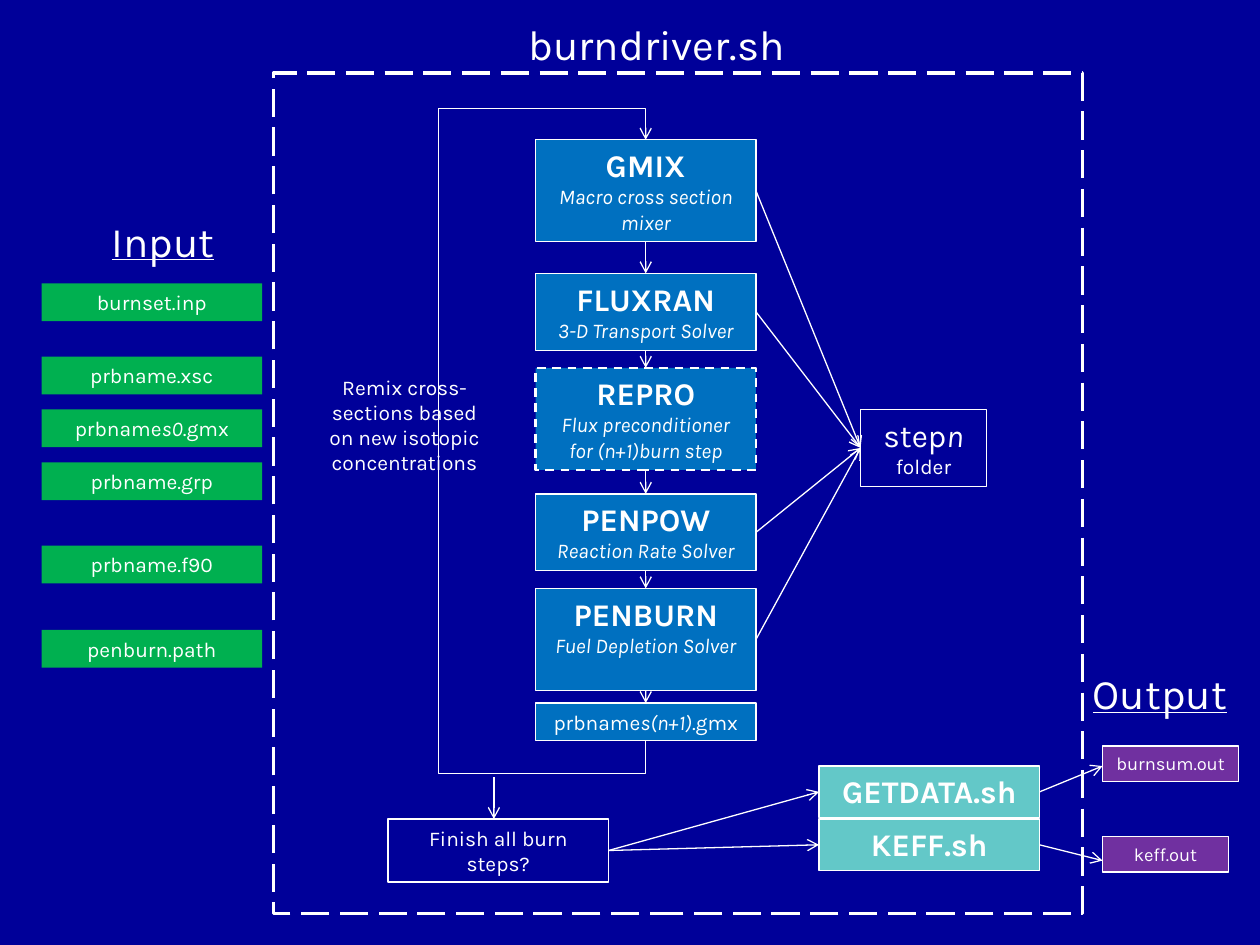
from lxml.etree import SubElement
from pptx import Presentation
from pptx.dml.color import RGBColor
from pptx.enum.dml import MSO_LINE
from pptx.enum.shapes import MSO_CONNECTOR, MSO_SHAPE
from pptx.enum.text import MSO_ANCHOR, PP_ALIGN
from pptx.oxml.ns import qn
from pptx.util import Inches, Pt

NAVY, BLUE, GREEN = "000099", "0070C0", "00B050"
TEAL, PURPLE, WHITE = "63C8C8", "7030A0", "FFFFFF"
TOP, LEFT, BOTTOM, RIGHT = range(4)
STEP_LEFT, STEP_WIDTH = 4.25, 1.75


def paint(fill, color):
    fill.solid()
    fill.fore_color.rgb = RGBColor.from_string(color)


def write(shape, text, size=12, bold=False, italic=False, underline=False, same_line=False):
    paragraphs = shape.text_frame.paragraphs
    paragraph = paragraphs[-1]
    if paragraph.runs and not same_line:
        paragraph = shape.text_frame.add_paragraph()
    paragraph.alignment = PP_ALIGN.CENTER
    run = paragraph.add_run()
    run.text = text
    font = run.font
    font.name, font.size = "Karla", Pt(size)
    font.bold, font.italic, font.underline = bold, italic, underline
    font.color.rgb = RGBColor.from_string(WHITE)


def write_filename(shape, start, index="", end=""):
    write(shape, start)
    if index:
        write(shape, index, italic=True, same_line=True)
        write(shape, end, same_line=True)


def outline(shape, width=0.75, dash=None):
    paint(shape.line.fill, WHITE)
    shape.line.width = Pt(width)
    if dash:
        shape.line.dash_style = dash


def add_box(slide, left, top, width, height, fill=None, line=0.75, dash=None):
    box = slide.shapes.add_shape(
        MSO_SHAPE.RECTANGLE, Inches(left), Inches(top), Inches(width), Inches(height))
    box.shadow.inherit = False
    if fill:
        paint(box.fill, fill)
    else:
        box.fill.background()
    if line:
        outline(box, line, dash)
    else:
        box.line.fill.background()
    box.text_frame.word_wrap = True
    box.text_frame.vertical_anchor = MSO_ANCHOR.TOP
    return box


def add_label(slide, text, left, top, width, height, **style):
    label = slide.shapes.add_textbox(Inches(left), Inches(top), Inches(width), Inches(height))
    label.text_frame.word_wrap = True
    write(label, text, **style)


def add_arrowhead(shape):
    SubElement(shape.line._get_or_add_ln(), qn("a:tailEnd"), type="arrow")


def add_arrow(slide, start=(0, 0), end=(0, 0), source=None, target=None):
    arrow = slide.shapes.add_connector(
        MSO_CONNECTOR.STRAIGHT, *(Inches(value) for value in (*start, *end)))
    if source:
        arrow.begin_connect(*source)
    if target:
        arrow.end_connect(*target)
    outline(arrow)
    add_arrowhead(arrow)
    SubElement(arrow._element.spPr, qn("a:effectLst"))


def add_loop(slide, points):
    corners = [(Inches(x), Inches(y)) for x, y in points]
    builder = slide.shapes.build_freeform(*corners[0])
    builder.add_line_segments(corners[1:], close=False)
    loop = builder.convert_to_shape()
    loop.shadow.inherit = False
    loop.fill.background()
    outline(loop)
    add_arrowhead(loop)


def add_inputs(slide):
    for top, filename in (
        (2.25, ("burnset.inp",)),
        (2.83, ("prbname.xsc",)),
        (3.25, ("prbname", "s0", ".gmx")),
        (3.67, ("prbname.grp",)),
        (4.33, ("prbname.f90",)),
        (5, ("penburn.path",)),
    ):
        write_filename(add_box(slide, 0.33, top, 1.75, 0.3, GREEN, line=None), *filename)


def add_steps(slide):
    steps = {}
    for name, top, height, notes in (
        ("GMIX", 1.11, 0.81, ["Macro cross section mixer"]),
        ("FLUXRAN", 2.17, 0.61, ["3-D Transport Solver"]),
        ("REPRO", 2.92, 0.81, ["Flux preconditioner", "for (n+1)burn step"]),
        ("PENPOW", 3.92, 0.61, ["Reaction Rate Solver"]),
        ("PENBURN", 4.67, 0.81, ["Fuel Depletion Solver"]),
    ):
        border = {"line": 1.25, "dash": MSO_LINE.DASH} if name == "REPRO" else {}
        step = add_box(slide, STEP_LEFT, top, STEP_WIDTH, height, BLUE, **border)
        write(step, name, size=18, bold=True)
        for note in notes:
            write(step, note, italic=True)
        steps[name] = step
    next_mix = add_box(slide, STEP_LEFT, 5.58, STEP_WIDTH, 0.3, BLUE)
    write_filename(next_mix, "prbname", "s(n+1)", ".gmx")
    chain = [*steps.values(), next_mix]
    for upper, lower in zip(chain, chain[1:]):
        add_arrow(slide, source=(upper, BOTTOM), target=(lower, TOP))
    return steps


def add_step_folder(slide, steps):
    folder = add_box(slide, 6.83, 3.25, 1, 0.61)
    write(folder, "step", size=18)
    write(folder, "n", size=18, italic=True, same_line=True)
    write(folder, "folder")
    for name, step in steps.items():
        if name != "REPRO":
            add_arrow(slide, source=(step, RIGHT), target=(folder, LEFT))


def add_finish(slide):
    question = add_box(slide, 3.08, 6.5, 1.75, 0.5)
    write(question, "Finish all burn steps?")
    add_arrow(slide, (3.92, 6.17), (3.92, 6.5))
    for script, top, output, output_top, output_width, arrow_end in (
        ("GETDATA.sh", 6.08, "burnsum.out", 5.92, 1.08, 6.08),
        ("KEFF.sh", 6.5, "keff.out", 6.64, 1, 6.83),
    ):
        script_box = add_box(slide, 6.5, top, 1.75, 0.41, TEAL)
        write(script_box, script, size=18, bold=True)
        output_box = add_box(slide, 8.75, output_top, output_width, 0.28, PURPLE)
        write(output_box, output, size=10.5)
        add_arrow(slide, source=(question, RIGHT), target=(script_box, LEFT))
        add_arrow(slide, end=(8.75, arrow_end), source=(script_box, RIGHT))


def main():
    deck = Presentation()
    deck.slide_width, deck.slide_height = Inches(10), Inches(7.5)
    slide = deck.slides.add_slide(deck.slide_layouts[6])
    paint(slide.background.fill, NAVY)

    add_box(slide, 2.17, 0.58, 6.42, 6.67, line=2, dash=MSO_LINE.LONG_DASH)
    steps = add_steps(slide)
    center = STEP_LEFT + STEP_WIDTH / 2
    add_loop(slide, [(center, 5.88), (center, 6.14), (3.48, 6.14),
                     (3.48, 0.86), (center, 0.86), (center, 1.11)])
    add_label(slide, "Remix cross-sections based on new isotopic concentrations",
              2.5, 2.92, 1.42, 0.91)
    add_inputs(slide)
    add_step_folder(slide, steps)
    add_finish(slide)
    add_label(slide, "burndriver.sh", 2.5, 0.1, 5.42, 0.5, size=24)
    add_label(slide, "Input", 0.42, 1.66, 1.75, 0.5, size=24, underline=True)
    add_label(slide, "Output", 8.33, 5.25, 1.75, 0.5, size=24, underline=True)
    deck.save("out.pptx")


if __name__ == "__main__":
    main()
